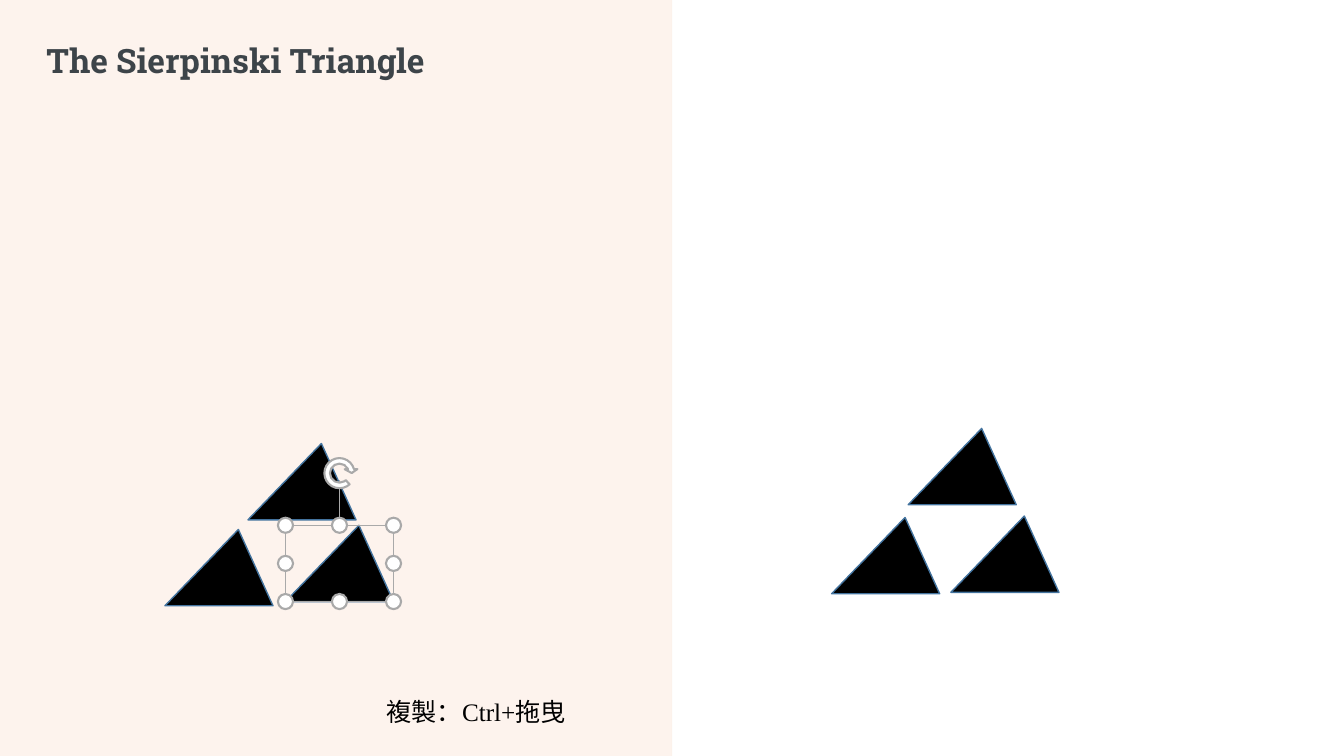
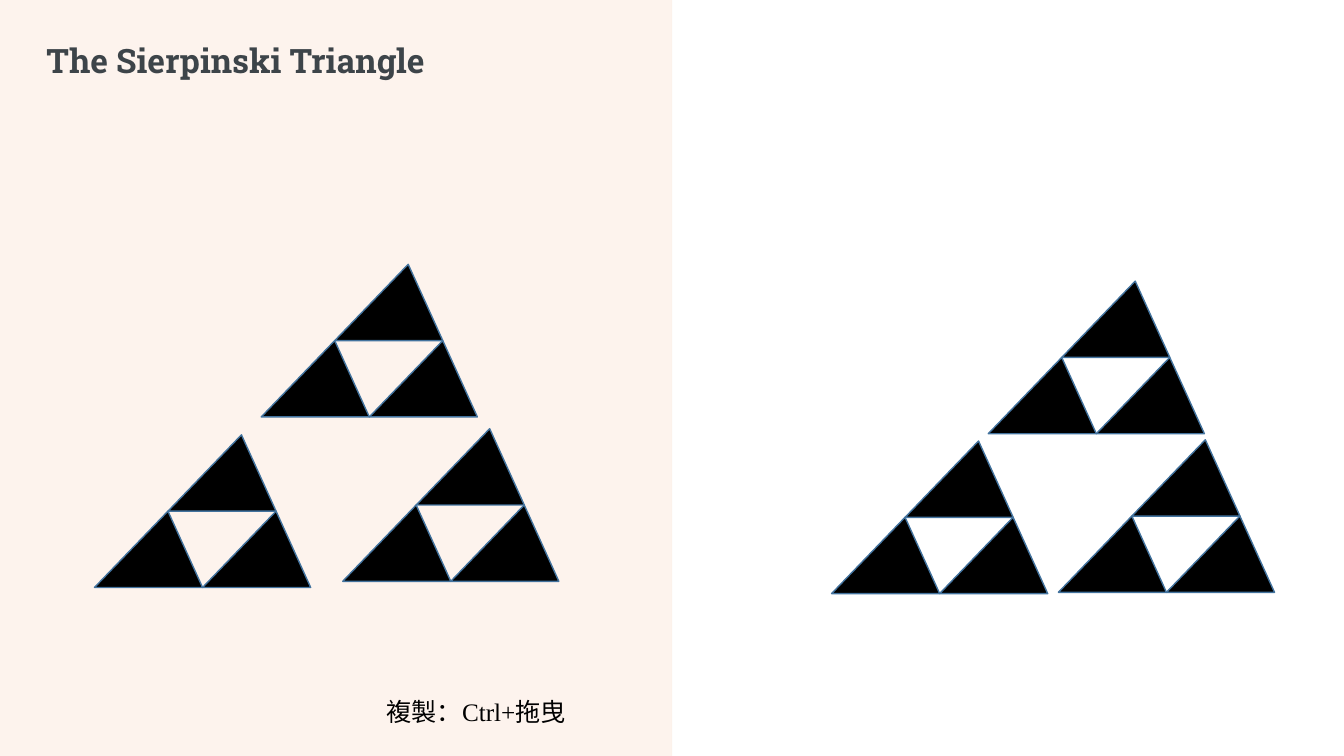
"""Builds two slides that grow a Sierpinski triangle by copying."""
from itertools import product

from lxml import etree
from pptx import Presentation
from pptx.dml.color import RGBColor
from pptx.enum.shapes import MSO_CONNECTOR as Link, MSO_SHAPE as Kind
from pptx.enum.text import MSO_ANCHOR as Anchor, MSO_AUTO_SIZE as Auto, PP_ALIGN as Align
from pptx.oxml.ns import qn
from pptx.util import Pt

WIDE, HIGH = 960, 540
BLACK, WHITE, EDGE, GREY, SLATE = "000000", "FFFFFF", "43739E", "A9A9A9", "3D4449"
TITLE = "The Sierpinski Triangle"
NOTE = "複製：Ctrl+拖曳"
BASE, RISE, PEAK = 77.2, 54.5, 0.68
KNOB, TURN = 10.8, 26.6
BEND = (0.15, 11.19, 204.55, 28.68, 0.17)
PICKED = (203.9, 375.2)
SINGLES = [(117.8, 378.2), (177.1, 316.8), PICKED,
           (594, 369.6), (648.7, 306), (679.2, 368.6)]
TRIPLES = [(67.5, 365.1), (186.6, 243.3), (244.8, 360.7),
           (594, 369.5), (705.9, 255.3), (756, 368.6)]


def paint(color, tone):
    color.rgb = RGBColor.from_string(tone)


def fade(fill, share):
    tone = fill.fore_color
    for node in fill._xPr.iter(qn("a:srgbClr")):
        etree.SubElement(node, qn("a:alpha")).set("val", str(share * 1000))
    return tone


def draw(slide, kind, x, y, w, h, fill=None, line=None, weight=1):
    shape = slide.shapes.add_shape(kind, Pt(x), Pt(y), Pt(w), Pt(h))
    shape.shadow.inherit = False
    if fill:
        shape.fill.solid()
        paint(shape.fill.fore_color, fill)
    else:
        shape.fill.background()
    if line:
        paint(shape.line.color, line)
        shape.line.width = Pt(weight)
    else:
        shape.line.fill.background()
    return shape


def rule(slide, x, top, low, tone, weight):
    line = slide.shapes.add_connector(Link.STRAIGHT, Pt(x), Pt(low), Pt(x), Pt(top))
    paint(line.line.color, tone)
    line.line.width = Pt(weight)
    etree.SubElement(line.element.spPr, qn("a:effectLst"))
    return line


def style(frame, text, font, size, tone, bold, align):
    frame.text = text
    frame.auto_size = Auto.NONE
    frame.vertical_anchor = Anchor.MIDDLE
    para = frame.paragraphs[0]
    para.alignment = align
    face = para.runs[0].font
    face.name, face.size, face.bold = font, Pt(size), bold
    paint(face.color, tone)
    return para


def place(shape, x, y, w, h):
    shape.left, shape.top, shape.width, shape.height = Pt(x), Pt(y), Pt(w), Pt(h)


def back(slide, layout):
    band = draw(slide, Kind.RECTANGLE, 0, 0, WIDE / 2, HIGH, "F4B183")
    fade(band.fill, 14)
    edge = rule(slide, WIDE / 2, 0, HIGH, "FBE5D6", 0.25)
    fade(edge.line.fill, 50)
    for spot, part in enumerate((band, edge), 2):
        layout.shapes.element.insert(spot, part.element)


def start(deck, layout):
    slide = deck.slides.add_slide(layout)
    title = slide.shapes.title
    place(title, 26, 28.8, 428.4, 31.7)
    para = style(title.text_frame, TITLE, "Roboto Slab", 24, SLATE, True, Align.LEFT)
    para.line_spacing = 0.9
    title.text_frame.word_wrap = False
    return slide


def note(slide):
    box = slide.shapes.add_textbox(Pt(235.4), Pt(489.6), Pt(209.5), Pt(37.4))
    style(box.text_frame, NOTE, "Times New Roman", 18, BLACK, False, Align.CENTER)
    box.text_frame.word_wrap = True


def wedge(slide, x, y):
    shape = draw(slide, Kind.ISOSCELES_TRIANGLE, x, y, BASE, RISE, BLACK, EDGE)
    shape.adjustments[0] = PEAK


def triple(slide, x, y):
    for dx, dy in ((0, 0), (PEAK * BASE, -RISE), (BASE, 0)):
        wedge(slide, x + dx, y + dy)


def handles(slide, x, y):
    draw(slide, Kind.RECTANGLE, x, y, BASE, RISE, None, GREY, 0.5)
    for col, row in product((0, 0.5, 1), repeat=2):
        if (col, row) != (0.5, 0.5):
            draw(slide, Kind.OVAL, x + col * BASE - KNOB / 2, y + row * RISE - KNOB / 2,
                 KNOB, KNOB, WHITE, GREY, 1.5)
    mid = x + BASE / 2
    rule(slide, mid, y - 32, y - KNOB / 2, GREY, 0.5)
    turn = draw(slide, Kind.CIRCULAR_ARROW, mid - TURN / 2, y - 50.5,
                TURN, TURN, WHITE, GREY, 1.5)
    for spot, value in enumerate(BEND):
        turn.adjustments[spot] = value


def main():
    deck = Presentation()
    deck.slide_width, deck.slide_height = Pt(WIDE), Pt(HIGH)
    layout = deck.slide_layouts[5]
    first, second = start(deck, layout), start(deck, layout)
    back(first, layout)
    for slide, form, spots in ((first, wedge, SINGLES), (second, triple, TRIPLES)):
        for x, y in spots:
            form(slide, x, y)
        note(slide)
    handles(first, *PICKED)
    deck.save("out.pptx")


if __name__ == "__main__":
    main()
